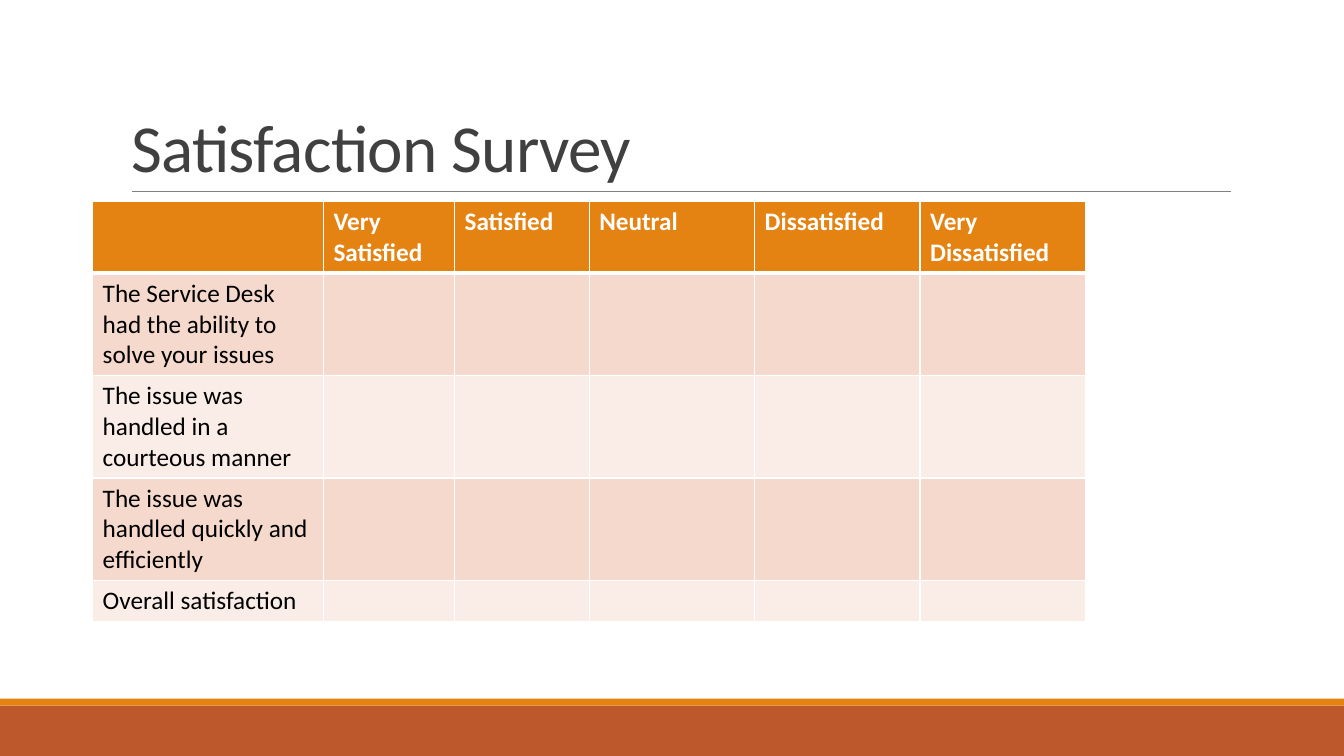
from dataclasses import dataclass

from lxml.etree import SubElement
from pptx import Presentation
from pptx.dml.color import RGBColor as Rgb
from pptx.enum.shapes import MSO_CONNECTOR as Connector, MSO_SHAPE as Shape
from pptx.enum.text import MSO_ANCHOR as Anchor, MSO_AUTO_SIZE as AutoSize, PP_ALIGN as Align
from pptx.oxml.ns import qn
from pptx.util import Pt


@dataclass
class Theme:
    font: str = "Calibri"
    title_size: int = 48
    table_size: int = 18
    title: str = "404040"
    rule: str = "808080"
    orange: str = "E48312"
    rust: str = "BD582C"
    bands: tuple = ("F5D9CC", "FAEDE7")
    white: str = "FFFFFF"
    black: str = "000000"


theme = Theme()


def add_run(paragraph, text, size, color, bold=False):
    run = paragraph.add_run()
    run.text = text
    run.font.name = theme.font
    run.font.size = Pt(size)
    run.font.bold = bold
    run.font.color.rgb = Rgb.from_string(color)
    return run


def add_border(cell, side, width):
    properties = cell._tc.get_or_add_tcPr()
    border = SubElement(properties, qn(f"a:ln{side}"), w=str(Pt(width)))
    fill = SubElement(border, qn("a:solidFill"))
    SubElement(fill, qn("a:srgbClr"), val=theme.white)


deck = Presentation()
deck.slide_width, deck.slide_height = Pt(960), Pt(540)
slide = deck.slides.add_slide(deck.slide_layouts[5])

for top, height, color in [(504, 36, theme.rust), (499, 5, theme.orange)]:
    footer_band = slide.shapes.add_shape(Shape.RECTANGLE, 0, Pt(top), Pt(960), Pt(height))
    footer_band.shadow.inherit = False
    footer_band.fill.solid()
    footer_band.fill.fore_color.rgb = Rgb.from_string(color)
    footer_band.line.fill.background()

title_rule = slide.shapes.add_connector(Connector.STRAIGHT, Pt(94.3), Pt(136.8), Pt(879), Pt(136.8))
title_rule.line.color.rgb = Rgb.from_string(theme.rule)
title_rule.line.width = Pt(0.5)
SubElement(title_rule._element.spPr, qn("a:effectLst"))

title = slide.shapes.title
title.left, title.top, title.width, title.height = Pt(86.4), Pt(22.5), Pt(792), Pt(114.3)
title.text_frame.auto_size = AutoSize.NONE
title.text_frame.word_wrap = True
title.text_frame.vertical_anchor = Anchor.BOTTOM
heading = title.text_frame.paragraphs[0]
heading.alignment = Align.LEFT
heading.line_spacing = 0.85
heading_run = add_run(heading, "Satisfaction Survey", theme.title_size, theme.title)
heading_run.font._element.set("spc", "-50")

ratings = ["", "Very Satisfied", "Satisfied", "Neutral", "Dissatisfied", "Very Dissatisfied"]
statements = [
    "The Service Desk had the ability to solve your issues",
    "The issue was handled in a courteous manner",
    "The issue was handled quickly and efficiently",
    "Overall satisfaction",
]
column_widths = [164.9, 93.6, 96.2, 118.2, 118.2, 118.2]
row_heights = [50.4, 72, 72, 72, 29.2]

survey = slide.shapes.add_table(
    len(row_heights), len(column_widths),
    Pt(66.2), Pt(144), Pt(sum(column_widths)), Pt(sum(row_heights)),
).table
for column, width in zip(survey.columns, column_widths):
    column.width = Pt(width)
for row, height in zip(survey.rows, row_heights):
    row.height = Pt(height)

survey_rows = [ratings] + [[statement] + [""] * 5 for statement in statements]
for row_index, texts in enumerate(survey_rows):
    header = row_index == 0
    row_fill = theme.orange if header else theme.bands[(row_index - 1) % 2]
    text_color = theme.white if header else theme.black
    border_widths = {"L": 1, "R": 1, "T": 3 if row_index == 1 else 1, "B": 3 if header else 1}
    for column_index, text in enumerate(texts):
        cell = survey.cell(row_index, column_index)
        for side, width in border_widths.items():
            add_border(cell, side, width)
        cell.fill.solid()
        cell.fill.fore_color.rgb = Rgb.from_string(row_fill)
        if text:
            add_run(cell.text_frame.paragraphs[0], text, theme.table_size, text_color, header)

deck.save("out.pptx")
